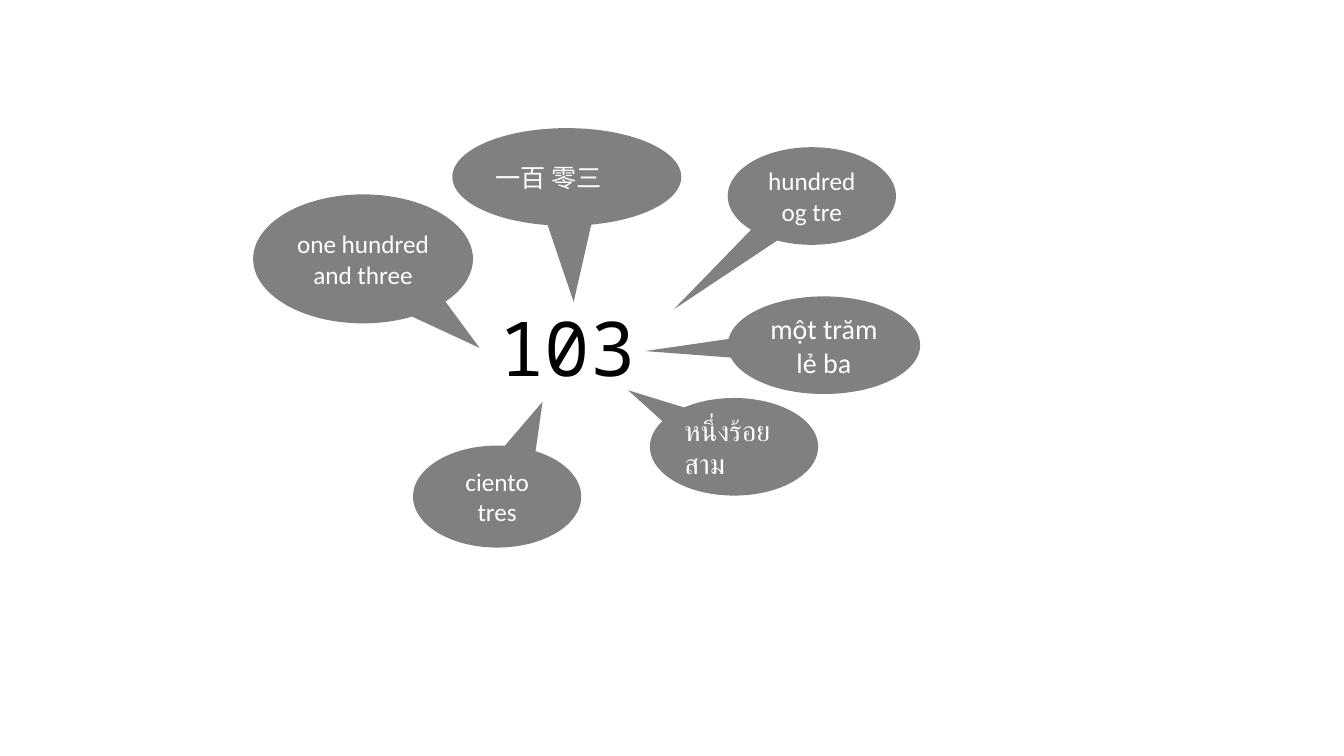
from pptx import Presentation
from pptx import util as u
from pptx.dml.color import RGBColor
from pptx.enum import shapes, text

GREY = RGBColor(0x80, 0x80, 0x80)
WHITE = RGBColor(0xFF, 0xFF, 0xFF)
BLACK = RGBColor(0, 0, 0)
CENTER, LEFT = text.PP_ALIGN.CENTER, text.PP_ALIGN.LEFT

# wording, (left, top, width, height) in cm, pointer tip offset, size, alignment
CALLOUTS = [
    ("hundred og tre", (18.34, 3.71, 4.24, 2.46), (-0.82, 1.16), 18, CENTER),
    ("一百 零三", (11.4, 3.23, 5.77, 2.46), (0.03, 1.28), 18, LEFT),
    ("one hundred and three", (6.38, 4.9, 5.54, 3.25), (0.53, 0.69), 18, CENTER),
    ("ciento tres", (10.41, 11.23, 4.24, 2.57), (0.27, -0.93), 18, CENTER),
    ("หนึ่งร้อยสาม", (16.38, 10.03, 4.24, 2.46), (-0.63, -0.58), 20, LEFT),
    ("một trăm lẻ ba", (18.34, 7.47, 4.85, 2.46), (-0.93, 0.06), 20, CENTER),
]


class SlideBuilder:
    def __init__(self, slide, font="Calibri", fill=GREY, ink=WHITE):
        self.s, self.font, self.fill, self.ink = slide, font, fill, ink

    def add_words(self, sp, words, align, **formats):
        tf = sp.text_frame
        tf.word_wrap = True
        p = tf.paragraphs[0]
        p.alignment = align
        r = p.add_run()
        r.text = words
        formats = {"name": self.font, **formats}
        r.font.color.rgb = formats.pop("color", self.ink)
        for name, value in formats.items():
            setattr(r.font, name, value)
        return tf

    def label(self, words, box, size, font, color):
        sp = self.s.shapes.add_textbox(*map(u.Cm, box))
        tf = self.add_words(sp, words, CENTER, size=u.Pt(size), name=font, color=color)
        tf.auto_size = text.MSO_AUTO_SIZE.SHAPE_TO_FIT_TEXT

    def callout(self, words, box, tip, size, align):
        """Add a speech bubble; tip is measured from its centre in widths and heights."""
        sp = self.s.shapes.add_shape(shapes.MSO_SHAPE.OVAL_CALLOUT, *map(u.Cm, box))
        sp.shadow.inherit = False
        sp.fill.solid()
        sp.fill.fore_color.rgb = self.fill
        sp.line.fill.background()
        for i, offset in enumerate(tip):
            sp.adjustments[i] = offset
        tf = self.add_words(sp, words, align, size=u.Pt(size))
        tf.vertical_anchor = text.MSO_ANCHOR.MIDDLE


def main():
    prs = Presentation()
    prs.slide_width, prs.slide_height = u.Cm(33.87), u.Cm(19.05)
    builder = SlideBuilder(prs.slides.add_slide(prs.slide_layouts[6]))
    builder.label("103", (11.66, 7.47, 5.28, 2.57), 54, "Noto Sans Mono", BLACK)
    for callout in CALLOUTS:
        builder.callout(*callout)
    prs.save("out.pptx")


if __name__ == "__main__":
    main()
